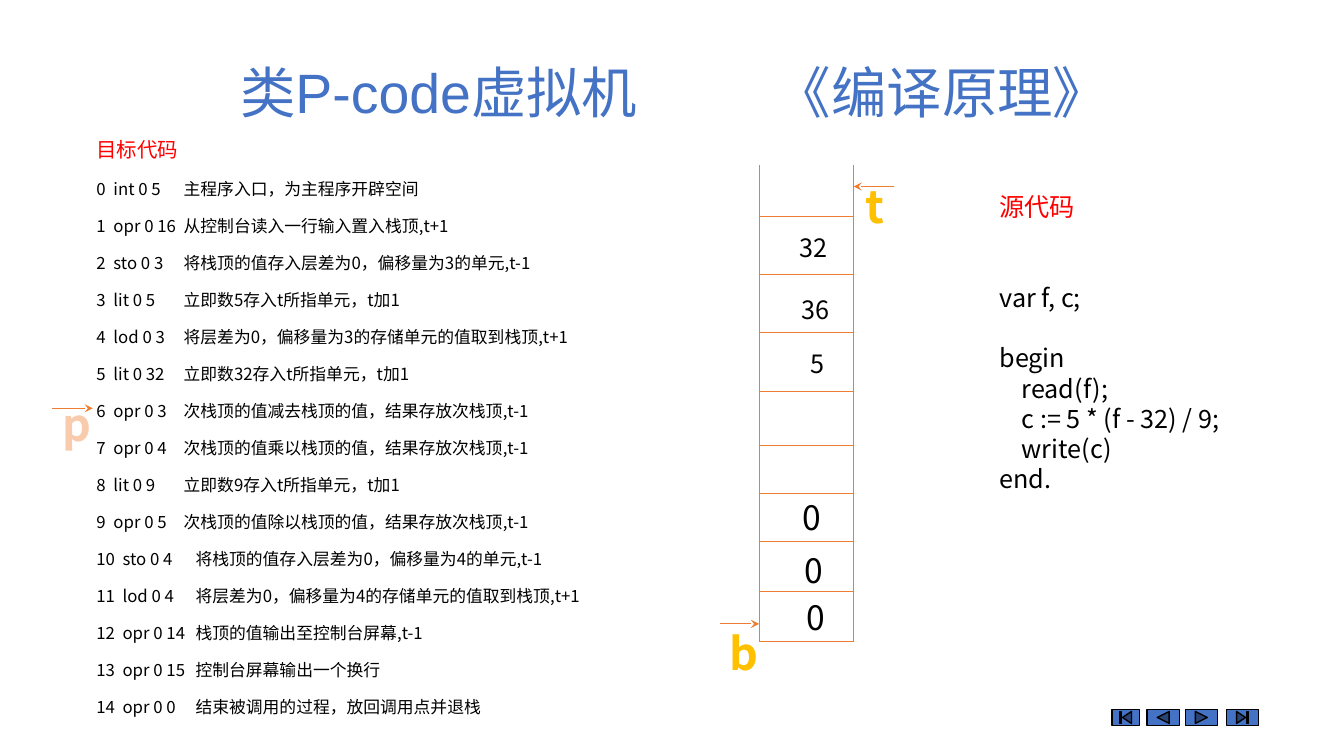
"""Build the P-code virtual machine slide with its code listing and stack."""
from lxml.etree import SubElement
from pptx import Presentation
from pptx.dml.color import RGBColor
from pptx.enum.shapes import MSO_CONNECTOR, MSO_SHAPE
from pptx.enum.text import MSO_ANCHOR, PP_ALIGN
from pptx.oxml.ns import qn
from pptx.util import Cm, Pt

CJK = "Noto Sans CJK SC"
ORANGE, BLUE, RED, GOLD, BLACK = "ED7D31", "4472C4", "FF0000", "FFC000", "000000"


def add_text(box, lines, anchor=MSO_ANCHOR.TOP):
    tf = s.shapes.add_textbox(*map(Cm, box)).text_frame
    tf.word_wrap = True
    tf.vertical_anchor = anchor
    for i, (text, fmt) in enumerate(lines):
        p = tf.paragraphs[0] if i == 0 else tf.add_paragraph()
        for key, value in fmt.get("para", {}).items():
            setattr(p, key, value)
        pPr = p._p.get_or_add_pPr()
        pPr.set("marL", str(Cm(fmt.get("indent", 0))))
        if "tabs" in fmt:
            tabs = SubElement(pPr, qn("a:tabLst"))
            for pos in fmt["tabs"]:
                SubElement(tabs, qn("a:tab"), pos=str(Cm(pos)), algn="l")
        r = p.add_run()
        r.text = text
        font = {"name": CJK, "size": Pt(fmt["size"]), "bold": fmt.get("bold", False)}
        font["name"] = fmt.get("font", CJK)
        for key, value in font.items():
            setattr(r.font, key, value)
        r.font.color.rgb = RGBColor.from_string(fmt["color"])
        SubElement(r._r.get_or_add_rPr(), qn("a:ea"), typeface=CJK)


def add_line(x1, y1, x2, y2, arrow=False):
    sp = s.shapes.add_connector(MSO_CONNECTOR.STRAIGHT, Cm(x1), Cm(y1), Cm(x2), Cm(y2))
    sp.line.color.rgb = RGBColor.from_string(ORANGE)
    sp.line.width = Pt(0.5)
    if arrow:
        SubElement(sp.line._get_or_add_ln(), qn("a:tailEnd"), type="stealth")
    SubElement(sp._element.spPr, qn("a:effectLst"))


prs = Presentation()
prs.slide_width, prs.slide_height = Cm(33.87), Cm(19.05)
s = prs.slides.add_slide(prs.slide_layouts[6])

title = {"size": 39.6, "color": BLUE, "font": "Arial", "tabs": [13.5]}
add_text((5.8, 1.02, 25, 2.54), [("类P-code虚拟机\t《编译原理》", title)], MSO_ANCHOR.MIDDLE)

instructions = [
    ("int 0 5", "主程序入口，为主程序开辟空间"),
    ("opr 0 16", "从控制台读入一行输入置入栈顶,t+1"),
    ("sto 0 3", "将栈顶的值存入层差为0，偏移量为3的单元,t-1"),
    ("lit 0 5", "立即数5存入t所指单元，t加1"),
    ("lod 0 3", "将层差为0，偏移量为3的存储单元的值取到栈顶,t+1"),
    ("lit 0 32", "立即数32存入t所指单元，t加1"),
    ("opr 0 3", "次栈顶的值减去栈顶的值，结果存放次栈顶,t-1"),
    ("opr 0 4", "次栈顶的值乘以栈顶的值，结果存放次栈顶,t-1"),
    ("lit 0 9", "立即数9存入t所指单元，t加1"),
    ("opr 0 5", "次栈顶的值除以栈顶的值，结果存放次栈顶,t-1"),
    ("sto 0 4", "将栈顶的值存入层差为0，偏移量为4的单元,t-1"),
    ("lod 0 4", "将层差为0，偏移量为4的存储单元的值取到栈顶,t+1"),
    ("opr 0 14", "栈顶的值输出至控制台屏幕,t-1"),
    ("opr 0 15", "控制台屏幕输出一个换行"),
    ("opr 0 0", "结束被调用的过程，放回调用点并退栈"),
]
gap = {"space_before": Pt(6), "space_after": Pt(6)}
listing = [("目标代码", {"size": 14.6, "color": RED, "para": gap})]
for n, (code, note) in enumerate(instructions):
    tabs = [0.43, 2.2] if n < 10 else [0.66, 2.5]
    listing.append((f"{n}\t{code}\t{note}", {"size": 12, "color": BLACK, "para": gap, "tabs": tabs}))
add_text((2.18, 3.33, 16.15, 15.09), listing)

left, right, top, bottom = 19.13, 21.51, 4.17, 16.15
for x in (left, right):
    add_line(x, top, x, bottom)
for y in (5.46, 6.91, 8.38, 9.86, 11.23, 12.42, 13.64, 14.91, bottom):
    add_line(left, y, right, y)

centred = {"alignment": PP_ALIGN.CENTER}
for value, x, y, size in [("32", 20.5, 5.74, 18), ("36", 20.55, 7.29, 18), ("5", 20.6, 8.66, 18),
                          ("0", 20.47, 12.4, 24), ("0", 20.5, 13.72, 24), ("0", 20.55, 14.91, 24)]:
    add_text((x - 1, y, 2, 1.2), [(value, {"size": size, "color": BLACK, "para": centred})])

for name, x, y, color in [("b", 18.75, 15.65, GOLD), ("t", 22.05, 4.37, GOLD), ("p", 1.93, 9.86, "F8CBAD")]:
    add_text((x - 0.85, y, 1.7, 1.63), [(name, {"size": 32, "color": color, "bold": True, "para": centred})])
for x1, x2, y in [(18.14, left, 15.72), (22.53, right, 4.7), (1.32, 2.34, 10.29)]:
    add_line(x1, y, x2, y, arrow=True)

source = [("源代码", 0, 43.2), ("var f, c;", 0, 21.6), ("begin", 0, 0), ("read(f);", 0.56, 0),
          ("c := 5 * (f - 32) / 9;", 0.56, 0), ("write(c)", 0.56, 0), ("end.", 0, 0)]
add_text((24.94, 4.7, 7.04, 7.95),
         [(text, {"size": 18, "color": BLACK if i else RED, "indent": indent,
                  "para": {"space_after": Pt(after)}})
          for i, (text, indent, after) in enumerate(source)])

for kind, x, w in [(MSO_SHAPE.ACTION_BUTTON_BEGINNING, 28.02, 0.69),
                   (MSO_SHAPE.ACTION_BUTTON_BACK_OR_PREVIOUS, 28.91, 0.81),
                   (MSO_SHAPE.ACTION_BUTTON_FORWARD_OR_NEXT, 29.87, 0.81),
                   (MSO_SHAPE.ACTION_BUTTON_END, 30.91, 0.81)]:
    sp = s.shapes.add_shape(kind, Cm(x), Cm(17.88), Cm(w), Cm(0.4))
    sp.shadow.inherit = False
    sp.fill.solid()
    sp.fill.fore_color.rgb = RGBColor.from_string(BLUE)
    sp.line.color.rgb = RGBColor.from_string(BLACK)
    sp.line.width = Pt(1)

prs.save("out.pptx")
